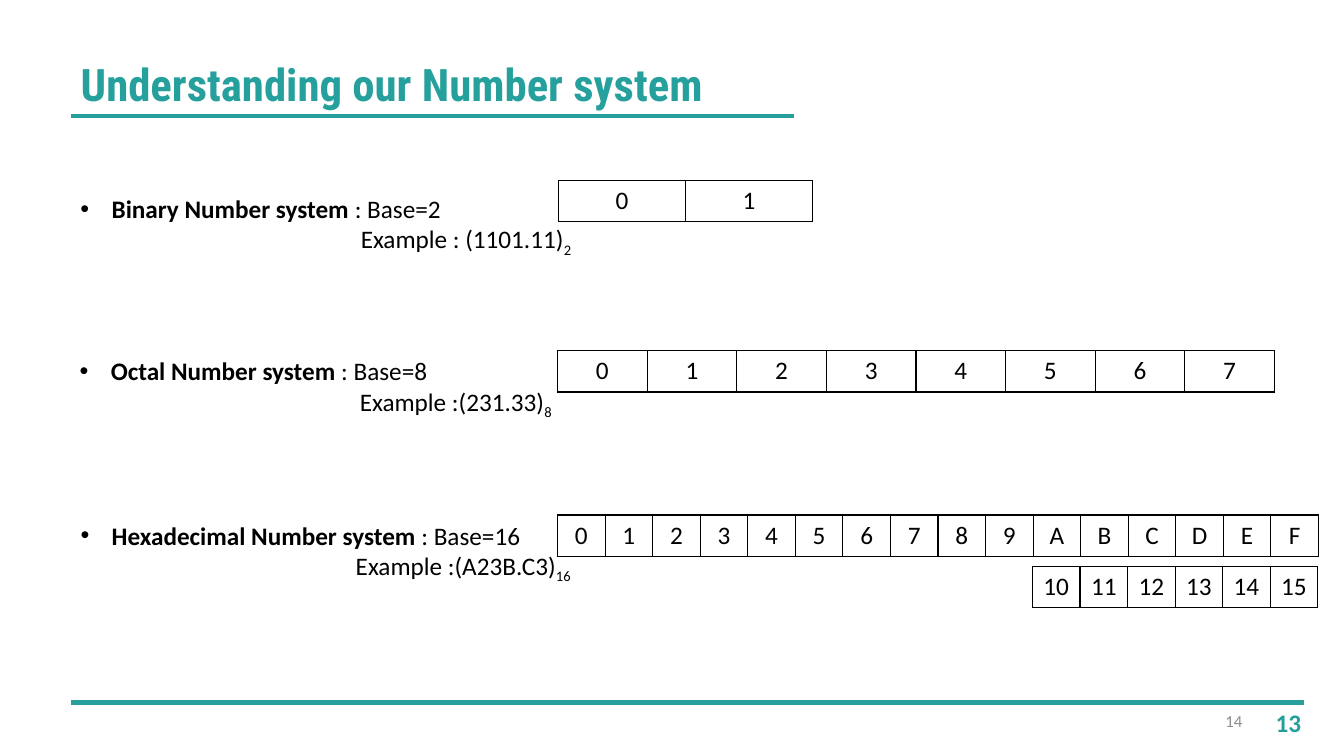
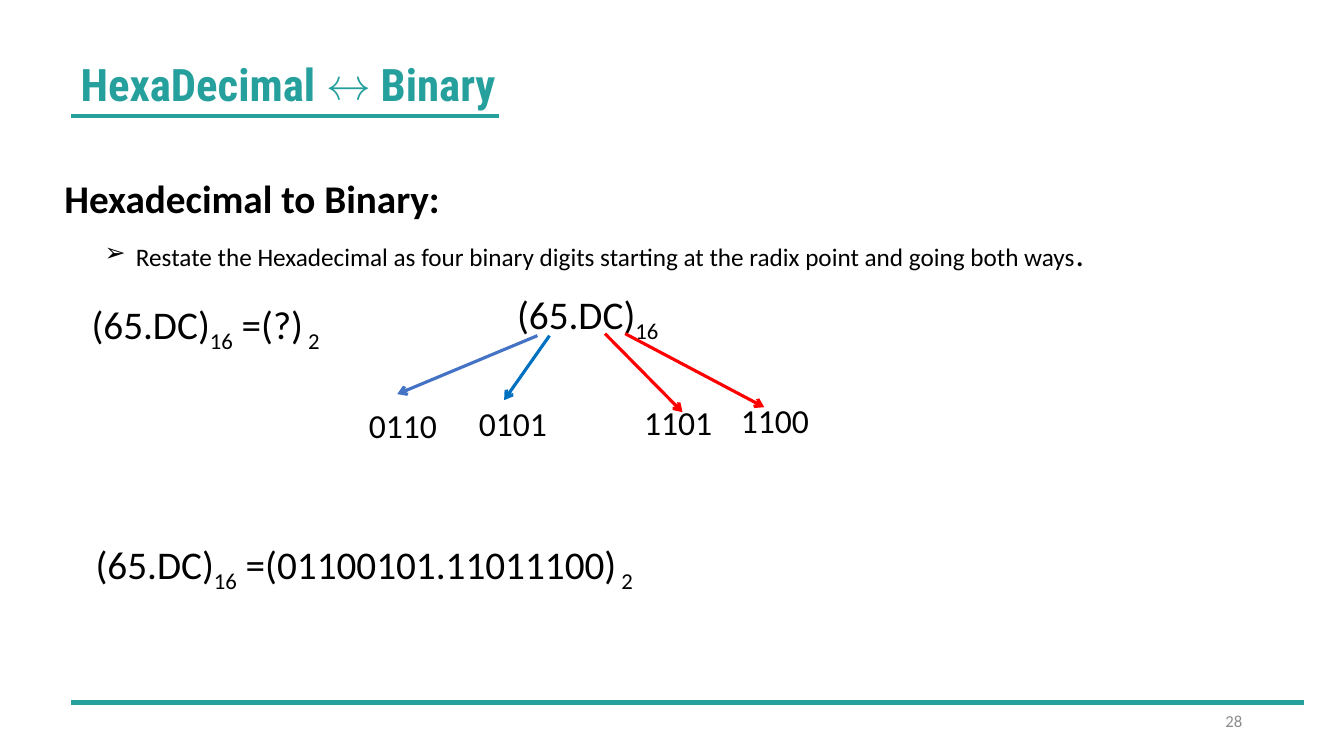
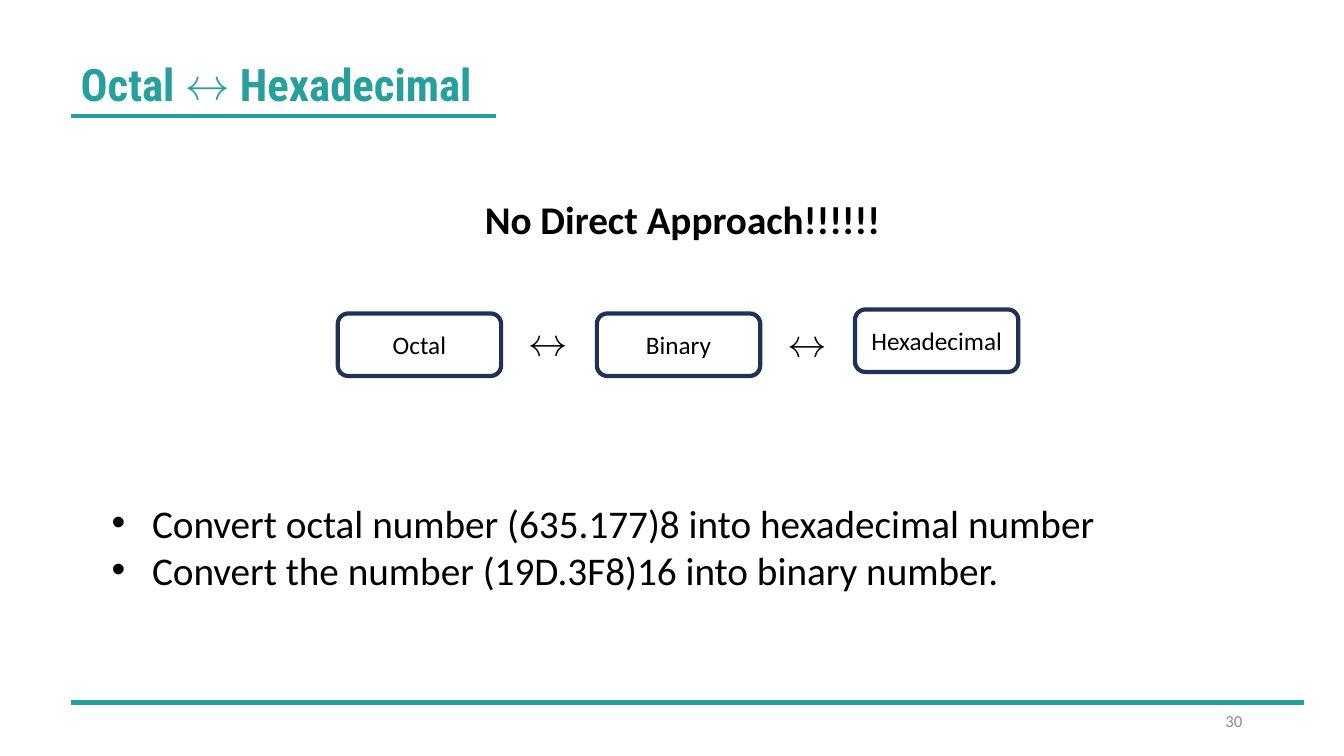
from pptx import Presentation
from pptx.dml.color import RGBColor
from pptx.enum.shapes import MSO_CONNECTOR, MSO_SHAPE
from pptx.enum.text import MSO_ANCHOR as ANCHOR, MSO_AUTO_SIZE as AUTO_SIZE, PP_ALIGN as ALIGN
from pptx.oxml.ns import qn
from pptx.util import Pt
from lxml.etree import SubElement, Element

PX = 9144  # 100 px to the inch

TEAL = RGBColor(0x26, 0xA0, 0x9D)
NAVY = RGBColor(0x1E, 0x32, 0x56)
STEEL = RGBColor(0x44, 0x72, 0xC4)
BLUE = RGBColor(0x00, 0x70, 0xC0)
RED = RGBColor(0xFF, 0x00, 0x00)
GRAY = RGBColor(0x8C, 0x8C, 0x8C)
BLACK = RGBColor(0x00, 0x00, 0x00)
BODY_FONT = "Calibri"
TITLE_FONT = "Roboto Condensed"

BOLD = {"bold": True}
SUB = {"sub": True}

# title, right end of its underline, page number
HEADINGS = [
    ("Understanding our Number system", 788, "14"),
    ("HexaDecimal ↔ Binary", 495, "28"),
    ("Octal ↔ Hexadecimal", 492, "30"),
]

# name, base, example, example indent, text box
NUMBER_SYSTEMS = [
    ("Binary", "2", "Example : (1101.11)", 278, (70, 187, 530, 71)),
    ("Octal", "8", "Example :(231.33)", 278, (69, 348, 511, 71)),
    ("Hexadecimal", "16", "Example :(A23B.C3)", 273, (70, 511, 511, 71)),
]
# digits, left, top, width
HEX_LEFT, HEX_WIDTH = 553, 755
LETTER_VALUES = ["10", "11", "12", "13", "14", "15"]
DIGIT_ROWS = [
    ("01", 554, 179, 252),
    ("01234567", 553, 348, 711),
    ("0123456789ABCDEF", HEX_LEFT, 511, HEX_WIDTH),
    (LETTER_VALUES, HEX_LEFT + HEX_WIDTH * 10 // 16, 562, HEX_WIDTH * 6 // 16),
]
DIGIT_ROW_HEIGHT = 41

HEX_NUMBER = [("(65.DC)", {}), ("16", SUB)]
EQUATIONS = [
    (HEX_NUMBER + [(" =(?)", {}), (" 2", SUB)], (81, 293, 318, 57)),
    (HEX_NUMBER, (503, 283, 191, 57)),
    (HEX_NUMBER + [(" =(01100101.11011100)", {}), (" 2", SUB)], (85, 531, 657, 57)),
]
# bits, their left and top, arrow start, arrow end, arrow colour
NIBBLES = [
    ("0110", (356, 397), (533, 333), (394, 391), STEEL),
    ("0101", (465, 395), (545, 333), (500, 397), BLUE),
    ("1101", (629, 394), (600, 331), (677, 409), RED),
    ("1100", (725, 392), (620, 331), (758, 404), RED),
]
RESTATE_RULE = [
    ("Restate the Hexadecimal as four binary digits starting at the radix point "
     "and going both ways", {}),
    (".", {"size": 24}),
]

CONVERSION_STEPS = [("Octal", 335, 311), ("Binary", 592, 311), ("Hexadecimal", 848, 307)]
STEP_ARROWS = [(514, 311), (771, 312)]
EXERCISES = [
    "Convert octal number (635.177)8 into hexadecimal number",
    "Convert the number (19D.3F8)16 into binary number.",
]


def emu(*lengths):
    return [length * PX for length in lengths]


def style(run, size, color=BLACK, font=BODY_FONT, bold=False, sub=False):
    run.font.size, run.font.name, run.font.bold = Pt(size), font, bold
    run.font.color.rgb = color
    if sub:
        run.font._element.set("baseline", "-25000")


def indent(paragraph, left, bullet=None):
    """Indent a paragraph, hanging a bullet at the margin if one is given."""
    pPr = paragraph._p.get_or_add_pPr()
    pPr.set("marL", str(left * PX))
    pPr.set("indent", str(-left * PX if bullet else 0))
    if bullet:
        SubElement(pPr, qn("a:buFont"), typeface="Arial")
        SubElement(pPr, qn("a:buChar"), char=bullet)


def fill_paragraph(paragraph, parts, size, align=ALIGN.LEFT, **look):
    """Write text, or a list of (text, changes of style), into a paragraph."""
    paragraph.alignment = align
    if isinstance(parts, str):
        parts = [(parts, {})]
    for text, changes in parts:
        run = paragraph.add_run()
        run.text = text
        style(run, **{"size": size, **look, **changes})


def add_text(slide, box, *paragraphs, size, indents=(), anchor=ANCHOR.TOP, **look):
    frame = slide.shapes.add_textbox(*emu(*box)).text_frame
    frame.word_wrap = True
    frame.vertical_anchor = anchor
    for number, parts in enumerate(paragraphs):
        paragraph = frame.add_paragraph() if number else frame.paragraphs[0]
        if indents:
            indent(paragraph, *indents[number])
        fill_paragraph(paragraph, parts, size, **look)


def add_line(slide, start, end, color, width, arrow=False):
    line = slide.shapes.add_connector(MSO_CONNECTOR.STRAIGHT, *emu(*start, *end))
    line.line.color.rgb = color
    line.line.width = Pt(width)
    if arrow:
        SubElement(line.line._get_or_add_ln(), qn("a:tailEnd"), type="arrow")
    SubElement(line._element.spPr, qn("a:effectLst"))


def add_border(cell):
    tcPr = cell._tc.get_or_add_tcPr()
    for position, side in enumerate("LRTB"):
        border = Element(qn(f"a:ln{side}"), w=str(Pt(1)))
        SubElement(SubElement(border, qn("a:solidFill")), qn("a:srgbClr"), val=str(BLACK))
        tcPr.insert(position, border)


def add_digit_row(slide, digits, left, top, width):
    table = slide.shapes.add_table(
        1, len(digits), *emu(left, top, width, DIGIT_ROW_HEIGHT)).table
    table.first_row = table.horz_banding = False
    for column, cell, digit in zip(table.columns, table.rows[0].cells, digits):
        column.width = width * PX // len(digits)
        cell.fill.background()
        add_border(cell)
        fill_paragraph(cell.text_frame.paragraphs[0], digit, 18, ALIGN.CENTER)


def start_slide(deck, heading, underline_end, page):
    """Add a slide with the shared title, rules and page number."""
    slide = deck.slides.add_slide(deck.slide_layouts[5])
    title = slide.shapes.title
    title.left, title.top, title.width, title.height = emu(70, 51, 753, 64)
    frame = title.text_frame
    frame.auto_size, frame.vertical_anchor = AUTO_SIZE.NONE, ANCHOR.TOP
    fill_paragraph(frame.paragraphs[0], heading, 32, color=TEAL, font=TITLE_FONT, bold=True)
    add_line(slide, (70, 115), (underline_end, 115), TEAL, 3)
    add_line(slide, (70, 697), (1293, 697), TEAL, 3)
    add_text(slide, (942, 695, 300, 40), page, size=12, color=GRAY,
             align=ALIGN.RIGHT, anchor=ANCHOR.MIDDLE)
    return slide


def build_number_systems(slide):
    for name, base, example, example_indent, box in NUMBER_SYSTEMS:
        add_text(slide, box,
                 [(f"{name} Number system ", BOLD), (f": Base={base}", {})],
                 [(example, {}), (base, SUB)],
                 size=18, indents=[(31, "•"), (example_indent,)])
    for row in DIGIT_ROWS:
        add_digit_row(slide, *row)
    add_text(slide, (1255, 697, 46, 40), "13", size=18, color=TEAL, bold=True,
             align=ALIGN.CENTER)


def build_hex_to_binary(slide):
    add_text(slide, (54, 168, 425, 57), "Hexadecimal to Binary:", size=28, bold=True)
    add_text(slide, (94, 226, 1185, 50), RESTATE_RULE, size=18, indents=[(31, "➢")])
    for equation, box in EQUATIONS:
        add_text(slide, box, equation, size=28)
    for bits, corner, start, end, color in NIBBLES:
        add_text(slide, (*corner, 95, 50), bits, size=24)
        add_line(slide, start, end, color, 2.25, arrow=True)


def build_octal_to_hex(slide):
    add_text(slide, (471, 189, 421, 57), "No Direct Approach!!!!!!", size=28, bold=True)
    for name, left, top in CONVERSION_STEPS:
        step = slide.shapes.add_shape(
            MSO_SHAPE.ROUNDED_RECTANGLE, *emu(left, top, 162, 62))
        step.shadow.inherit = False
        step.fill.background()
        step.line.color.rgb, step.line.width = NAVY, Pt(3)
        fill_paragraph(step.text_frame.paragraphs[0], name, 18, ALIGN.CENTER)
    for corner in STEP_ARROWS:
        add_text(slide, (*corner, 52, 57), "↔", size=28, font=TITLE_FONT, bold=True)
    add_text(slide, (101, 490, 1161, 104), *EXERCISES, size=28,
             indents=[(40, "•")] * len(EXERCISES))


def main():
    deck = Presentation()
    deck.slide_width, deck.slide_height = emu(1333, 750)
    builders = [build_number_systems, build_hex_to_binary, build_octal_to_hex]
    for heading, build in zip(HEADINGS, builders):
        build(start_slide(deck, *heading))
    deck.save("out.pptx")


if __name__ == "__main__":
    main()
